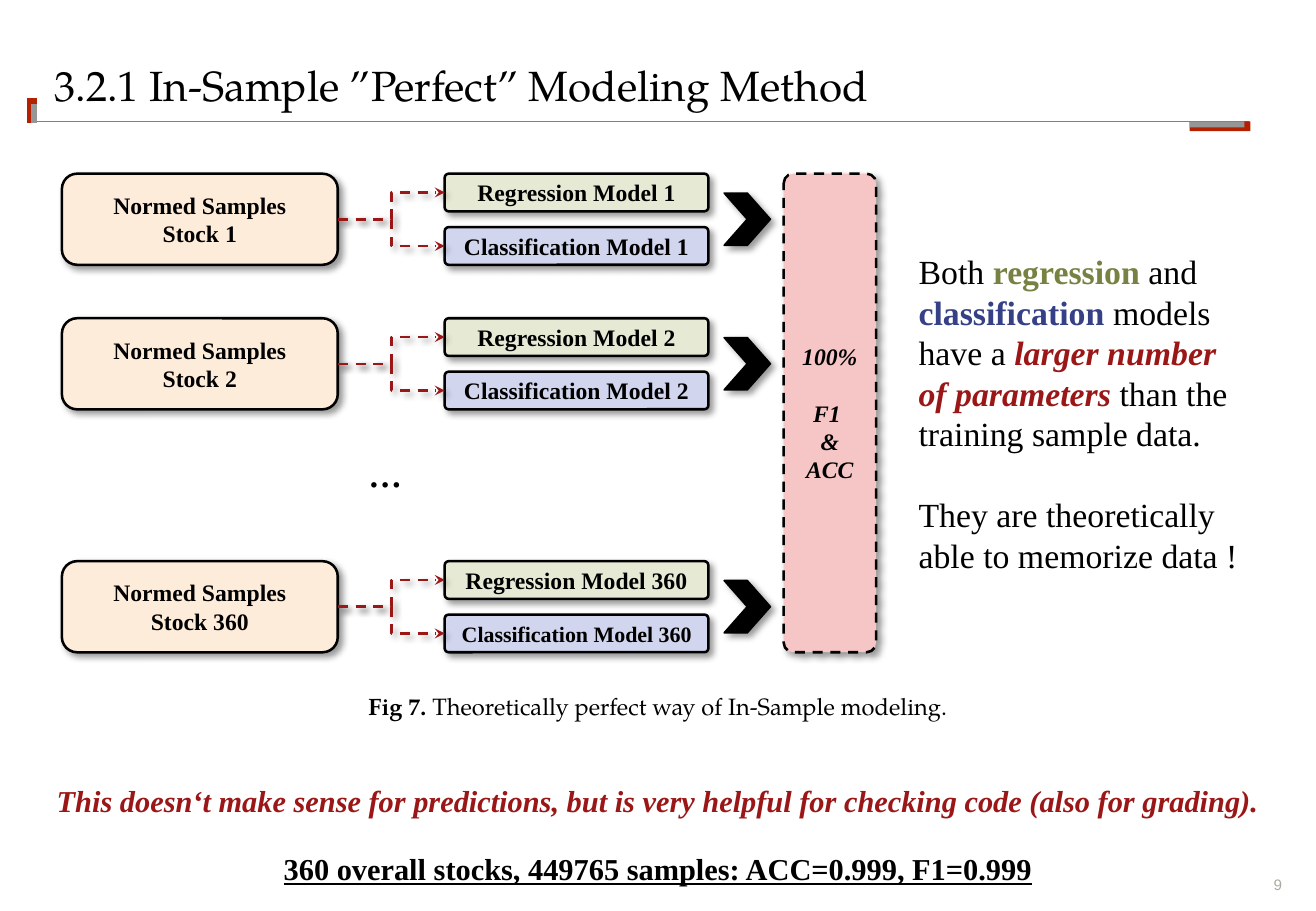
from dataclasses import dataclass

import lxml.etree
import pptx
import pptx.dml.color
import pptx.enum.dml
import pptx.enum.shapes
import pptx.enum.text
import pptx.oxml.ns
import pptx.util

Inches = pptx.util.Inches
Pt = pptx.util.Pt
qn = pptx.oxml.ns.qn
Shapes = pptx.enum.shapes.MSO_SHAPE
Connectors = pptx.enum.shapes.MSO_CONNECTOR
Align = pptx.enum.text.PP_ALIGN
Anchor = pptx.enum.text.MSO_ANCHOR


@dataclass(frozen=True)
class Theme:
    black: str = "000000"
    red: str = "9B1717"
    olive: str = "778242"
    navy: str = "364086"
    samples: str = "FEECDA"
    regression: str = "E6EAD5"
    classification: str = "D1D5ED"
    score: str = "F6C5C5"
    accent: str = "B42100"
    rule: str = "808080"
    grey: str = "969696"
    page: str = "ADABA1"
    serif: str = "Times New Roman"
    heading: str = "TeX Gyre Pagella"
    sans: str = "Arial"
    title_size: int = 25
    body_size: int = 20
    remark_size: int = 18
    label_size: int = 14
    tight_size: int = 13
    page_size: int = 9
    outline: float = 1.5


THEME = Theme()


@dataclass(frozen=True)
class Box:
    left: float
    top: float
    width: float
    height: float

    def lengths(self) -> list:
        return [Inches(value) for value in (self.left, self.top, self.width, self.height)]


@dataclass(frozen=True)
class Run:
    text: str
    color: str = THEME.black
    bold: bool = False
    italic: bool = False
    underline: bool = False


@dataclass(frozen=True)
class Paragraph:
    runs: list
    space_before: float = 0


@dataclass(frozen=True)
class StockRow:
    number: int
    top: float
    classification_size: int = THEME.label_size


@dataclass(frozen=True)
class Stroke:
    start: tuple
    end: tuple
    color: str
    width: float


STOCK_ROWS = [StockRow(1, 1.43), StockRow(2, 2.62), StockRow(360, 4.62, THEME.tight_size)]
HEADER_STROKES = [
    Stroke((0.3, 1), (10.28, 1), THEME.rule, 1),
    Stroke((0.26, 1.01), (0.26, 0.81), THEME.accent, 6),
    Stroke((0.28, 1.01), (0.28, 0.86), THEME.grey, 3),
]
ROW_HEIGHT, MODEL_HEIGHT, CHEVRON_HEIGHT = 0.75, 0.31, 0.43
ROUNDING = 0.103


def rgb(color: str):
    return pptx.dml.color.RGBColor.from_string(color)


def write_text(shape, paragraphs, *, size, font=THEME.serif, align=Align.CENTER,
               anchor=Anchor.MIDDLE, insets=(0.08, 0.08), wrap=True) -> None:
    """Fill a shape with formatted paragraphs; insets are horizontal, vertical."""
    frame = shape.text_frame
    frame.word_wrap = wrap
    frame.vertical_anchor = anchor
    frame.margin_left = frame.margin_right = Inches(insets[0])
    frame.margin_top = frame.margin_bottom = Inches(insets[1])
    for index, content in enumerate(paragraphs):
        paragraph = frame.add_paragraph() if index else frame.paragraphs[0]
        paragraph.alignment = align
        if content.space_before:
            paragraph.space_before = Pt(content.space_before)
        for part in content.runs:
            run = paragraph.add_run()
            run.text = part.text
            run.font.name = font
            run.font.size = Pt(size)
            run.font.bold = part.bold
            run.font.italic = part.italic
            run.font.underline = part.underline
            run.font.color.rgb = rgb(part.color)


def add_text(slide, box: Box, paragraphs, **text_format) -> None:
    write_text(slide.shapes.add_textbox(*box.lengths()), paragraphs, **text_format)


def set_shadow(shape, visible: bool) -> None:
    """Replace the inherited shadow with none, or with a soft diagonal one."""
    properties = shape._element.spPr
    effects = properties.find(qn("a:effectLst"))
    if effects is None:
        effects = lxml.etree.SubElement(properties, qn("a:effectLst"))
    if visible:
        shadow = lxml.etree.SubElement(
            effects, qn("a:outerShdw"), blurRad=str(Pt(4)), dist=str(Pt(3)),
            dir="2700000", algn="tl", rotWithShape="0")
        color = lxml.etree.SubElement(shadow, qn("a:srgbClr"), val=THEME.black)
        lxml.etree.SubElement(color, qn("a:alpha"), val="40000")


def add_shape(slide, kind, box: Box, fill: str, *, outline: float = 0,
              rounding: float | None = None, dashed: bool = False):
    """Add a filled shape; an outlined one also casts a shadow."""
    shape = slide.shapes.add_shape(kind, *box.lengths())
    if rounding is not None:
        shape.adjustments[0] = rounding
    shape.fill.solid()
    shape.fill.fore_color.rgb = rgb(fill)
    if outline:
        shape.line.color.rgb = rgb(THEME.black)
        shape.line.width = Pt(outline)
    else:
        shape.line.fill.background()
    if dashed:
        shape.line.dash_style = pptx.enum.dml.MSO_LINE.DASH
    shape.shadow.inherit = False
    set_shadow(shape, bool(outline))
    return shape


def add_line(slide, stroke: Stroke, kind=Connectors.STRAIGHT):
    points = [Inches(value) for value in (*stroke.start, *stroke.end)]
    line = slide.shapes.add_connector(kind, *points)
    line.line.color.rgb = rgb(stroke.color)
    line.line.width = Pt(stroke.width)
    set_shadow(line, kind == Connectors.ELBOW)
    return line


def add_arrow(slide, source, target) -> None:
    """Join the right side of source to the left side of target."""
    arrow = add_line(slide, Stroke((0, 0), (1, 1), THEME.red, THEME.outline), Connectors.ELBOW)
    arrow.begin_connect(source, 3)
    arrow.end_connect(target, 1)
    arrow.line.dash_style = pptx.enum.dml.MSO_LINE.DASH
    lxml.etree.SubElement(arrow._element.spPr.find(qn("a:ln")), qn("a:tailEnd"), type="stealth")


def bold_lines(*lines: str) -> list:
    return [Paragraph([Run(line, bold=True)]) for line in lines]


def add_stock_row(slide, row: StockRow) -> None:
    samples = add_shape(slide, Shapes.ROUNDED_RECTANGLE, Box(0.51, row.top, 2.27, ROW_HEIGHT),
                        THEME.samples, outline=THEME.outline)
    write_text(samples, bold_lines("Normed Samples", f"Stock {row.number}"), size=THEME.label_size)
    models = [
        ("Regression", row.top, THEME.regression, THEME.label_size),
        ("Classification", row.top + ROW_HEIGHT - MODEL_HEIGHT, THEME.classification,
         row.classification_size),
    ]
    for name, top, fill, size in models:
        model = add_shape(slide, Shapes.ROUNDED_RECTANGLE, Box(3.66, top, 2.17, MODEL_HEIGHT),
                          fill, outline=THEME.outline, rounding=ROUNDING)
        write_text(model, bold_lines(f"{name} Model {row.number}"), size=size)
        add_arrow(slide, samples, model)
    chevron_top = row.top + (ROW_HEIGHT - CHEVRON_HEIGHT) / 2
    add_shape(slide, Shapes.CHEVRON, Box(5.96, chevron_top, 0.38, CHEVRON_HEIGHT),
              THEME.black, outline=1)


def add_header(slide) -> None:
    for stroke in HEADER_STROKES:
        add_line(slide, stroke)
    add_shape(slide, Shapes.RECTANGLE, Box(9.79, 1, 0.5, 0.08), THEME.accent)
    add_shape(slide, Shapes.RECTANGLE, Box(9.79, 1, 0.45, 0.05), THEME.grey)
    add_text(slide, Box(0.45, 0.4, 7.91, 0.59),
             [Paragraph([Run("3.2.1 In-Sample ”Perfect” Modeling Method")])],
             size=THEME.title_size, font=THEME.heading, align=Align.LEFT, insets=(0, 0))


def add_score_bar(slide) -> None:
    bar = add_shape(slide, Shapes.ROUNDED_RECTANGLE, Box(6.45, 1.43, 0.76, 3.94), THEME.score,
                    outline=THEME.outline, rounding=ROUNDING, dashed=True)
    lines = [("100%", 0), ("F1 ", 16.5), ("& ACC", 0)]
    write_text(bar, [Paragraph([Run(text, bold=True, italic=True)], gap) for text, gap in lines],
               size=THEME.label_size)


def add_explanation(slide) -> None:
    models = Paragraph([
        Run("Both "), Run("regression", THEME.olive, bold=True), Run(" and "),
        Run("classification", THEME.navy, bold=True), Run(" models have a "),
        Run("larger number of parameters ", THEME.red, bold=True, italic=True),
        Run("than the training sample data."),
    ])
    memory = Paragraph([Run("They are theoretically able to memorize data !")], 24)
    add_text(slide, Box(7.48, 1.43, 2.83, 3.94), [models, memory],
             size=THEME.body_size, align=Align.LEFT)


def add_remarks(slide) -> None:
    caption = [Run("Fig 7. ", bold=True), Run("Theoretically perfect way of In-Sample modeling.")]
    add_text(slide, Box(1.79, 5.69, 7.25, 0.24), [Paragraph(caption)], size=THEME.label_size,
             font=THEME.heading, anchor=Anchor.BOTTOM, insets=(0, 0))
    remarks = [
        (6.39, Run("This doesn‘t make sense for predictions, but is very helpful for checking "
                   "code (also for grading).", THEME.red, bold=True, italic=True)),
        (6.95, Run("360 overall stocks, 449765 samples: ACC=0.999, F1=0.999",
                   bold=True, underline=True)),
    ]
    for top, run in remarks:
        add_text(slide, Box(0, top, 10.83, 0.4), [Paragraph([run])], size=THEME.remark_size,
                 anchor=Anchor.TOP, insets=(0.1, 0.05))


def main() -> None:
    presentation = pptx.Presentation()
    presentation.slide_width, presentation.slide_height = Inches(10.83), Inches(7.5)
    slide = presentation.slides.add_slide(presentation.slide_layouts[6])
    add_header(slide)
    for row in STOCK_ROWS:
        add_stock_row(slide, row)
    add_text(slide, Box(0.51, 3.6, 5.32, 0.75), bold_lines("···"), size=THEME.body_size)
    add_score_bar(slide)
    add_explanation(slide)
    add_remarks(slide)
    add_text(slide, Box(10.24, 7.21, 0.31, 0.15), [Paragraph([Run("9", THEME.page)])],
             size=THEME.page_size, font=THEME.sans, align=Align.RIGHT, anchor=Anchor.BOTTOM,
             insets=(0, 0), wrap=False)
    presentation.save("out.pptx")


if __name__ == "__main__":
    main()
